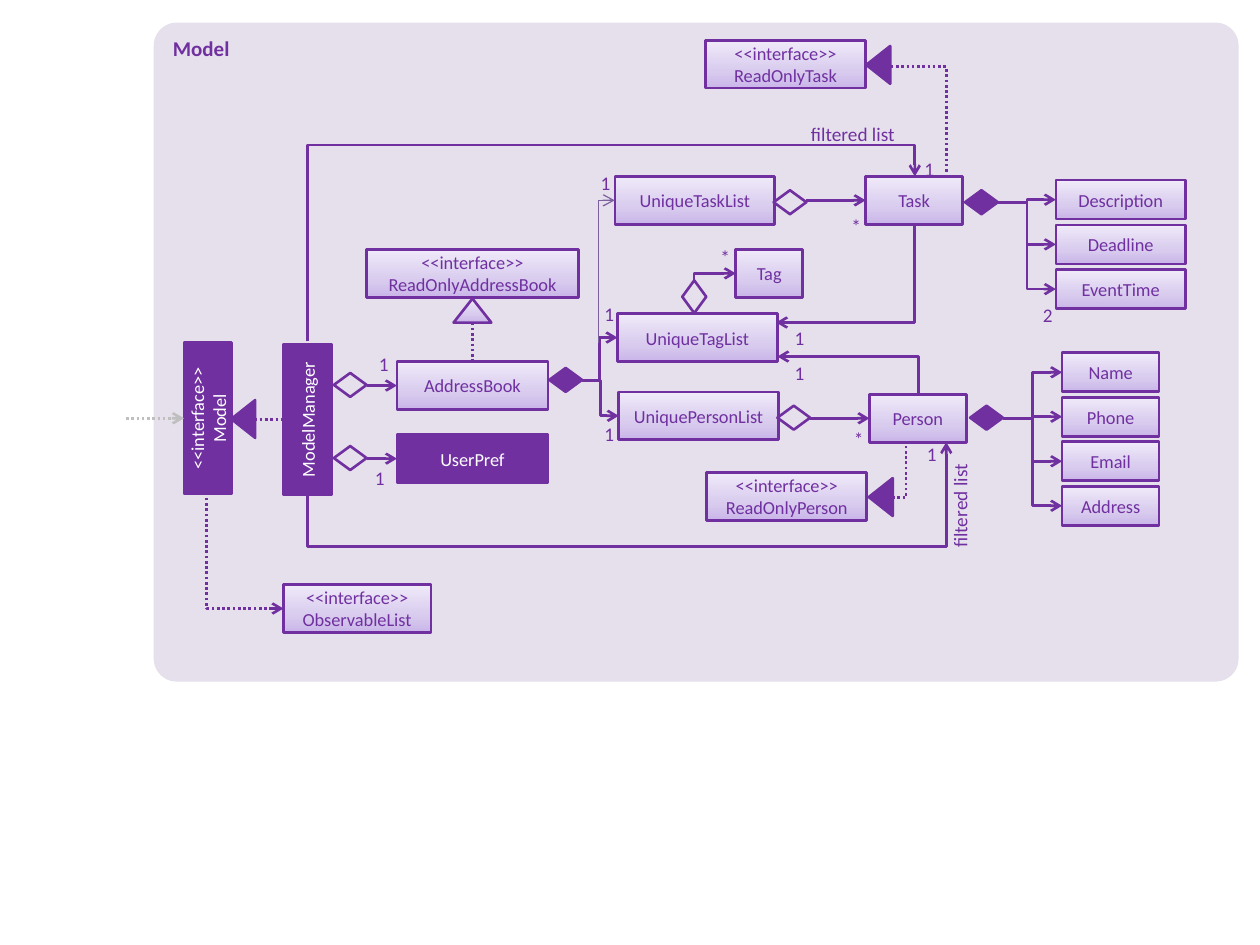
"""Build the class diagram slide of the Model component."""
from copy import deepcopy

from lxml import etree
from pptx import Presentation
from pptx.dml.color import RGBColor
from pptx.enum.dml import MSO_LINE
from pptx.enum.shapes import MSO_CONNECTOR, MSO_SHAPE
from pptx.enum.text import MSO_ANCHOR, MSO_AUTO_SIZE, PP_ALIGN
from pptx.oxml.ns import qn
from pptx.util import Inches, Pt

RECT, ROUNDED = MSO_SHAPE.RECTANGLE, MSO_SHAPE.ROUNDED_RECTANGLE
DIAMOND, TRIANGLE = MSO_SHAPE.FLOWCHART_DECISION, MSO_SHAPE.ISOSCELES_TRIANGLE
STRAIGHT, ELBOW = MSO_CONNECTOR.STRAIGHT, MSO_CONNECTOR.ELBOW
LEFT, CENTER, RIGHT = PP_ALIGN.LEFT, PP_ALIGN.CENTER, PP_ALIGN.RIGHT
TOP, MIDDLE = MSO_ANCHOR.TOP, MSO_ANCHOR.MIDDLE
DOTTED = MSO_LINE.ROUND_DOT
THEME = {
    "font": "Calibri",
    "purple": RGBColor.from_string("7030A0"),
    "thin": RGBColor.from_string("7D60A0"),
    "grey": RGBColor.from_string("BFBFBF"),
    "panel": RGBColor.from_string("E6E0EC"),
    "white": RGBColor.from_string("FFFFFF"),
    "gradient": [(0, "C9B5E8"), (0.35, "D8CBEE"), (1, "F0EAF9")],
    "title": Pt(12), "box": Pt(10.5), "label": Pt(11),
    "line": Pt(1.5), "hairline": Pt(0.75),
}
PURPLE = THEME["purple"]

deck = Presentation()
deck.slide_width, deck.slide_height = Inches(10), Inches(7.5)
COL, ROW = deck.slide_width / 100, deck.slide_height / 75
shapes = deck.slides.add_slide(deck.slide_layouts[6]).shapes


def write(shape, text, size, colour, align, anchor):
    frame = shape.text_frame
    frame.text = text
    frame.word_wrap = True
    frame.vertical_anchor = anchor
    for paragraph in frame.paragraphs:
        paragraph.alignment = align
        for run in paragraph.runs:
            run.font.name, run.font.size = THEME["font"], size
            run.font.color.rgb = colour


def link(route, start, end, arrow=None, dash=None, ink=PURPLE, weight=THEME["line"], bends=()):
    points = [round(value * unit) for value, unit in zip(start + end, (COL, ROW) * 2)]
    wire = shapes.add_connector(STRAIGHT if route == "line" else ELBOW, *points)
    wire.line.color.rgb, wire.line.width = ink, weight
    if dash:
        wire.line.dash_style = dash
    properties = wire._element.spPr
    if arrow:
        etree.SubElement(properties.find(qn("a:ln")), qn(f"a:{arrow}End"), type="arrow")
    etree.SubElement(properties, qn("a:effectLst"))
    outline = properties.find(qn("a:prstGeom"))
    outline.set("prst", route)
    for number, bend in enumerate(bends, 1):
        etree.SubElement(outline.find(qn("a:avLst")), qn("a:gd"),
                         name=f"adj{number}", fmla=f"val {round(bend * 100000)}")
    return wire


panel = shapes.add_shape(ROUNDED, *[round(n * u) for n, u in zip((12.2, 1.8, 86.1, 52.3), (COL, ROW) * 2)])
panel.adjustments[0] = 0.035
panel.shadow.inherit = False
panel.fill.solid()
panel.fill.fore_color.rgb = THEME["panel"]
panel.line.fill.background()
write(panel, "Model", THEME["title"], PURPLE, LEFT, TOP)
panel.text_frame.paragraphs[0].runs[0].font.bold = True

# kind, text, column, row, columns wide, rows high, rotation, fill
classes = [
    (RECT, "UserPref", 31.5, 34.5, 12, 3.8, 0, "solid"),
    (RECT, "ModelManager", 18.4, 31.4, 12, 3.8, 270, "solid"),
    (RECT, "<<interface>>\nModel", 10.5, 31.3, 12, 3.8, 270, "solid"),
    (RECT, "AddressBook", 31.5, 28.7, 12, 3.8, 0, "gradient"),
    (RECT, "UniquePersonList", 49.1, 31.1, 12.7, 3.8, 0, "gradient"),
    (RECT, "UniqueTagList", 49, 24.9, 12.7, 3.8, 0, "gradient"),
    (RECT, "UniqueTaskList", 48.8, 14, 12.7, 3.8, 0, "gradient"),
    (RECT, "Person", 69, 31.3, 7.7, 3.8, 0, "gradient"),
    (RECT, "Task", 68.7, 14, 7.7, 3.8, 0, "gradient"),
    (RECT, "Tag", 58.4, 19.8, 5.3, 3.8, 0, "gradient"),
    (RECT, "<<interface>>\vReadOnlyPerson", 56.1, 37.5, 12.7, 3.8, 0, "gradient"),
    (RECT, "<<interface>>\vReadOnlyAddressBook", 29.1, 19.8, 16.8, 3.8, 0, "gradient"),
    (RECT, "<<interface>>\vObservableList", 22.5, 46.4, 11.7, 3.8, 0, "gradient"),
    (RECT, "<<interface>>\vReadOnlyTask", 56, 3.2, 12.7, 3.8, 0, "gradient"),
]
symbols = [(DIAMOND, "", column, row, 2.6, 1.9, turn, fill) for column, row, turn, fill in [
    (26.5, 35.4, 0, "none"), (26.5, 29.6, 0, "none"), (61.7, 32.2, 0, "none"),
    (53.8, 22.6, 270, "none"), (61.4, 15.1, 0, "none"), (43.6, 29.2, 0, "solid"),
    (77, 32.2, 0, "solid"), (76.6, 15.1, 0, "solid")]]
symbols += [(TRIANGLE, "", column, row, 3, 1.9, turn, fill) for column, row, turn, fill in [
    (17.8, 32.3, 270, "solid"), (68.4, 38.5, 270, "solid"),
    (68.2, 4.2, 270, "solid"), (36, 23.7, 0, "gradient")]]
attributes = []
for owner_end, column, row, pitch, width, names in [
    ((79.6, 33.2), 84.3, 28, 3.53, 7.7, ["Name", "Phone", "Email", "Address"]),
    ((79.2, 16.1), 83.8, 14.3, 3.55, 10.3, ["Description", "Deadline", "EventTime"]),
]:
    for index, name in enumerate(names):
        attribute_row = row + index * pitch
        attributes.append((RECT, name, column, attribute_row, width, 3.1, 0, "gradient"))
        link("bentConnector3", owner_end, (column, attribute_row + 1.55), "tail")

placed = {}
for kind, text, column, row, width, height, turn, fill in classes + symbols + attributes:
    item = shapes.add_shape(kind, round(column * COL), round(row * ROW), round(width * COL), round(height * ROW))
    item.rotation = turn
    item.shadow.inherit = False
    item.line.color.rgb, item.line.width = PURPLE, THEME["line"]
    if fill == "solid":
        item.fill.solid()
        item.fill.fore_color.rgb = PURPLE
    elif fill == "none":
        item.fill.background()
    else:
        item.fill.gradient()
        item.fill.gradient_angle = 90
        stop_list = item._element.spPr.find(qn("a:gradFill")).find(qn("a:gsLst"))
        stop_list.append(deepcopy(stop_list[-1]))
        for stop, (position, shade) in zip(item.fill.gradient_stops, THEME["gradient"]):
            stop.position = position
            stop.color.rgb = RGBColor.from_string(shade)
    if text:
        write(item, text, THEME["box"], THEME["white"] if fill == "solid" else PURPLE, CENTER, MIDDLE)
        placed[text] = item

for start, end, target, side, arrow, dash, ink in [
    ((10, 33.2), (14.6, 33.2), "<<interface>>\nModel", 0, "tail", DOTTED, THEME["grey"]),
    ((20.2, 33.3), (22.5, 33.3), "ModelManager", 0, None, DOTTED, PURPLE),
    ((29.1, 36.4), (31.5, 36.4), "UserPref", 1, "tail", None, PURPLE),
    ((29.1, 30.6), (31.5, 30.6), "AddressBook", 1, "tail", None, PURPLE),
    ((37.5, 25.6), (37.5, 28.7), "AddressBook", 0, None, DOTTED, PURPLE),
    ((64.3, 33.2), (69, 33.2), "Person", 1, "tail", None, PURPLE),
    ((64, 15.9), (68.7, 15.9), "Task", 1, "tail", None, PURPLE),
]:
    wire = link("line", start, end, arrow, dash, ink)
    wire.end_connect(placed[target], side)
    wire.end_x, wire.end_y = round(end[0] * COL), round(end[1] * ROW)

for list_end in [(49.1, 33), (49, 26.8)]:
    link("bentConnector3", (46.2, 30.2), list_end, "tail")
link("bentConnector2", (48.8, 15.9), (47.5, 27.2), "head", ink=THEME["thin"], weight=THEME["hairline"])
for start, end, arrow, dash in [
    ((58.4, 21.7), (55.1, 22.3), "head", None),
    ((61.7, 28.3), (72.9, 31.3), "head", None),
    ((61.6, 25.6), (72.6, 17.8), "head", None),
    ((22.5, 48.3), (16.4, 39.2), "head", DOTTED),
    ((70.8, 39.5), (71.9, 35.1), None, DOTTED),
    ((70.7, 5.3), (75.1, 13.8), None, DOTTED),
]:
    link("bentConnector2", start, end, arrow, dash)
link("bentConnector4", (24.4, 27.1), (72.6, 14), "tail", bends=(0, 1.19))
link("bentConnector4", (24.4, 39.2), (75.1, 35.1), "tail", bends=(0, -1.02))

counts = [("1", 47.3, 24), ("1", 47.3, 33.5), ("1", 62.4, 28.7), ("*", 56.5, 19.5), ("*", 67.1, 33.9),
          ("1", 29.4, 28), ("1", 29.1, 37), ("1", 72.9, 35.1), ("1", 47, 13.6), ("1", 62.4, 25.9),
          ("2", 82.1, 24.1), ("1", 72.7, 12.5), ("*", 66.9, 17)]
for text, column, row in counts:
    count = shapes.add_textbox(round(column * COL), round(row * ROW), round(2.1 * COL), round(2 * ROW))
    write(count, text, THEME["label"], PURPLE, CENTER, TOP)
    frame = count.text_frame
    frame.margin_left = frame.margin_right = frame.margin_top = frame.margin_bottom = 0

for column, row, turn in [(71.4, 39.2, 270), (62.4, 9.2, 0)]:
    caption = shapes.add_textbox(round(column * COL), round(row * ROW), round(9.6 * COL), round(2.9 * ROW))
    caption.rotation = turn
    write(caption, "filtered list", THEME["label"], PURPLE, RIGHT, TOP)
    caption.text_frame.auto_size = MSO_AUTO_SIZE.SHAPE_TO_FIT_TEXT

deck.save("out.pptx")
